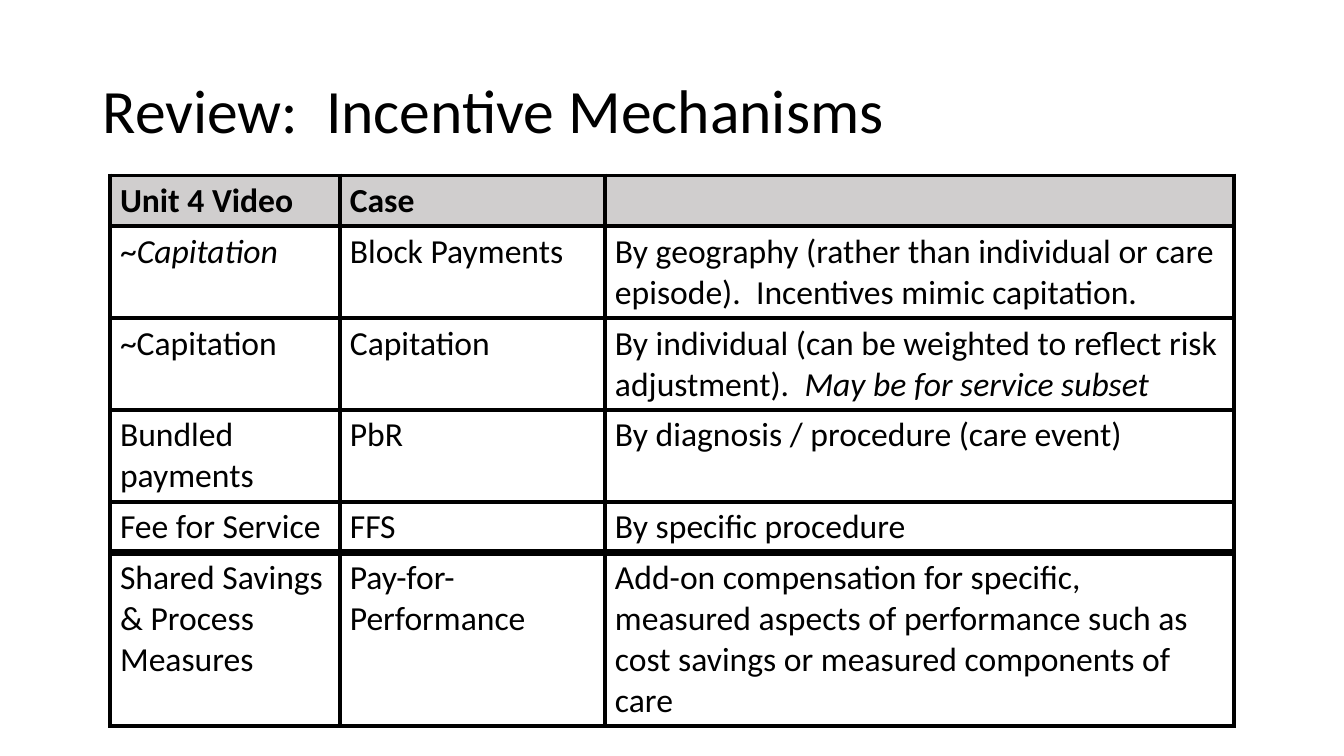
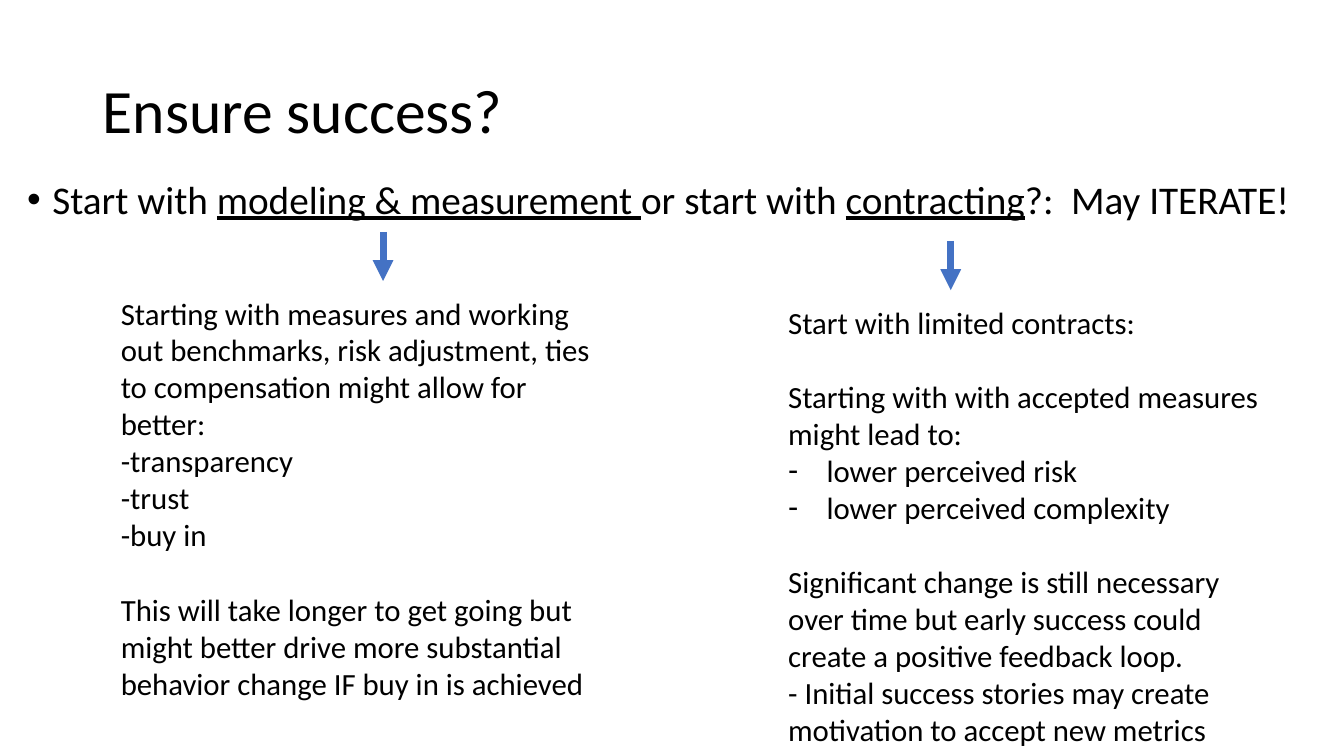
from pptx import Presentation
from pptx.dml.color import RGBColor as RGB
from pptx.enum.shapes import MSO_CONNECTOR as CONN
from pptx.enum.text import MSO_ANCHOR as ANCHOR
from pptx.oxml.ns import qn
from pptx.util import Inches, Pt
from lxml.etree import SubElement as Sub, Element

COLORS = {"text": "000000", "paper": "FFFFFF", "header": "D0CECE", "arrow": "4472C4"}
FONT = "Calibri"
WIDTH, HEIGHT = Inches(13.33), Inches(7.5)
BODY = 22
BLANK = Pt(26.8)  # one line of body text
ITALIC, UNDERLINE, BOLD = {"italic": True}, {"underline": True}, {"bold": True}
TITLE_FORMAT = {"line_spacing": 0.9}
LEAD_FORMAT = {"line_spacing": 0.9, "space_before": Pt(10)}
GAP = {"space_before": BLANK}

TABLE_COLS = [17.1, 19.73, 46.81]
ROW_PAD, ROW_LINE = 1.33, 5.41
# Each row: number of text lines, then the cells
TABLE_ROWS = [
    (1, [[("Unit 4 Video", BOLD)], [("Case", BOLD)], ""]),
    (2, [["~", ("Capitation", ITALIC)], "Block Payments",
         "By geography (rather than individual or care episode).  "
         "Incentives mimic capitation."]),
    (2, ["~Capitation", "Capitation",
         ["By individual (can be weighted to reflect risk adjustment).  ",
          ("May be for service subset", ITALIC)]]),
    (2, ["Bundled payments", "PbR", "By diagnosis / procedure (care event)"]),
    (1, ["Fee for Service", "FFS", "By specific procedure"]),
    (4, ["Shared Savings & Process Measures", "Pay-for-Performance",
         "Add-on compensation for specific, measured aspects of performance such as "
         "cost savings or measured components of care"]),
]
THICK_RULE_ROW = 5  # the heavy line runs above this row

LEAD = ["Start with ", ("modeling & measurement ", UNDERLINE), "or start with ",
        ("contracting", UNDERLINE), "?:  May ITERATE!"]
# Each paragraph: text, format, bullet
MEASURES = [
    ("Starting with measures and working out benchmarks, risk adjustment, ties to "
     "compensation might allow for better:", {}, None),
    ("-transparency", {}, None),
    ("-trust", {}, None),
    ("-buy in", {}, None),
    ("This will take longer to get going but might better drive more substantial "
     "behavior change IF buy in is achieved", GAP, None),
]
CONTRACTS = [
    ("Start with limited contracts:", {}, None),
    ("Starting with with accepted measures might lead to:", GAP, None),
    ("lower perceived risk", {}, "-"),
    ("lower perceived complexity", {}, "-"),
    ("Significant change is still necessary over time but early success could create "
     "a positive feedback loop.", GAP, None),
    ("- Initial success stories may create motivation to accept new metrics", {}, None),
]


def px(share):
    """Percent of the slide width."""
    return round(WIDTH * share / 100)


def py(share):
    """Percent of the slide height."""
    return round(HEIGHT * share / 100)


def apply(obj, values):
    for name, value in values.items():
        setattr(obj, name, value)


def add_runs(p, content, size):
    """Content is a string, or a list of strings and (string, format) pairs."""
    for part in [content] if isinstance(content, str) else content:
        text, fmt = (part, {}) if isinstance(part, str) else part
        r = p.add_run()
        r.text = text
        apply(r.font, {"name": FONT, "size": Pt(size), **fmt})
        r.font.color.rgb = RGB.from_string(COLORS["text"])


def add_bullet(p, char, indent):
    pPr = p._p.get_or_add_pPr()
    pPr.set("marL", str(Inches(indent)))
    pPr.set("indent", str(-Inches(indent)))
    Sub(pPr, qn("a:buFont"), typeface="Arial")
    Sub(pPr, qn("a:buChar"), char=char)


def add_text(s, box, paragraphs, size, indent=0.38, anchor=ANCHOR.TOP):
    x, y, w, h = box
    tf = s.shapes.add_textbox(px(x), py(y), px(w), py(h)).text_frame
    apply(tf, {"word_wrap": True, "vertical_anchor": anchor})
    for i, (content, fmt, bullet) in enumerate(paragraphs):
        p = tf.add_paragraph() if i else tf.paragraphs[0]
        apply(p, fmt)
        if bullet:
            add_bullet(p, bullet, indent)
        add_runs(p, content, size)


def add_slide(prs, title):
    s = prs.slides.add_slide(prs.slide_layouts[6])
    add_text(s, (6.9, 5.33, 86.27, 19.33), [(title, TITLE_FORMAT, None)], 44,
             anchor=ANCHOR.MIDDLE)
    return s


def add_borders(cell, widths):
    """Widths in points for the left, right, top and bottom edges."""
    tcPr = cell._tc.get_or_add_tcPr()
    for i, (side, width) in enumerate(zip("LRTB", widths)):
        ln = Element(qn(f"a:ln{side}"), w=str(Pt(width)))
        Sub(Sub(ln, qn("a:solidFill")), qn("a:srgbClr"), val=COLORS["text"])
        tcPr.insert(i, ln)


def add_table(s, x, y):
    heights = [py(ROW_PAD + ROW_LINE * lines) for lines, _ in TABLE_ROWS]
    table = s.shapes.add_table(len(TABLE_ROWS), len(TABLE_COLS), px(x), py(y),
                               px(sum(TABLE_COLS)), sum(heights)).table
    apply(table, {"first_row": False, "horz_banding": False})
    for column, width in zip(table.columns, TABLE_COLS):
        column.width = px(width)
    for i, (_, contents) in enumerate(TABLE_ROWS):
        table.rows[i].height = heights[i]
        top = 6 if i == THICK_RULE_ROW else 3
        bottom = 6 if i + 1 == THICK_RULE_ROW else 3
        for j, content in enumerate(contents):
            cell = table.cell(i, j)
            cell.fill.solid()
            cell.fill.fore_color.rgb = RGB.from_string(COLORS["paper" if i else "header"])
            add_borders(cell, (3, 3, top, bottom))
            if content:
                add_runs(cell.text_frame.paragraphs[0], content, 24)


def add_down_arrow(s, x, y, length):
    arrow = s.shapes.add_connector(CONN.STRAIGHT, px(x), py(y), px(x), py(y + length))
    arrow.line.width = Pt(5)
    arrow.line.color.rgb = RGB.from_string(COLORS["arrow"])
    Sub(arrow.line._get_or_add_ln(), qn("a:tailEnd"), type="triangle")
    Sub(arrow._element.spPr, qn("a:effectLst"))


def add_option(s, arrow_x, text_x, y, height, paragraphs):
    """An arrow with the text that it leads to."""
    add_down_arrow(s, arrow_x, y, 6.5)
    add_text(s, (text_x, y + 7.6, 36.61, height), paragraphs, BODY)


def main():
    prs = Presentation()
    apply(prs, {"slide_width": WIDTH, "slide_height": HEIGHT})

    s = add_slide(prs, "Review:  Incentive Mechanisms")
    add_table(s, 8.18, 23.2)

    s = add_slide(prs, "Ensure success?")
    add_text(s, (1.28, 23.2, 98.72, 63.47), [(LEAD, LEAD_FORMAT, "•")], 28, indent=0.25)
    add_option(s, 28.5, 8.25, 30.67, 55.6, MEASURES)
    add_option(s, 70.74, 57.91, 31.87, 60.53, CONTRACTS)

    prs.save("out.pptx")


if __name__ == "__main__":
    main()
